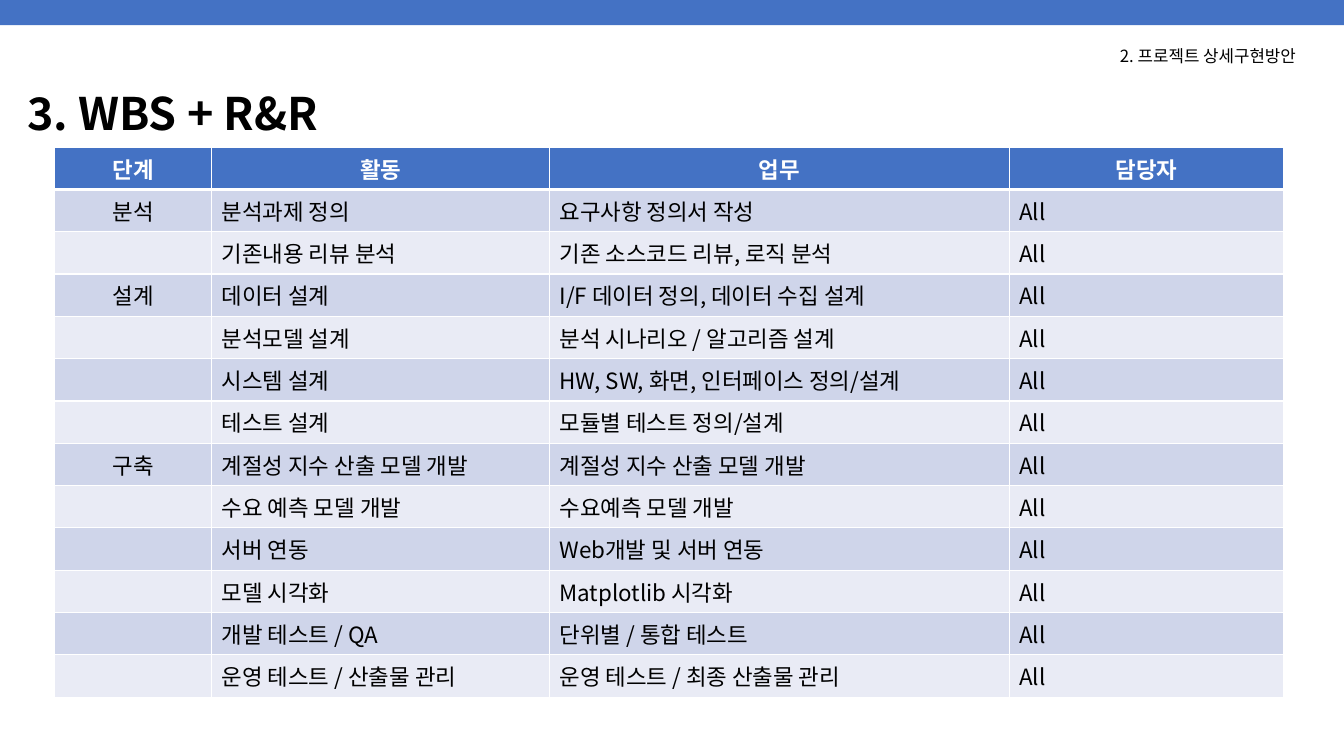
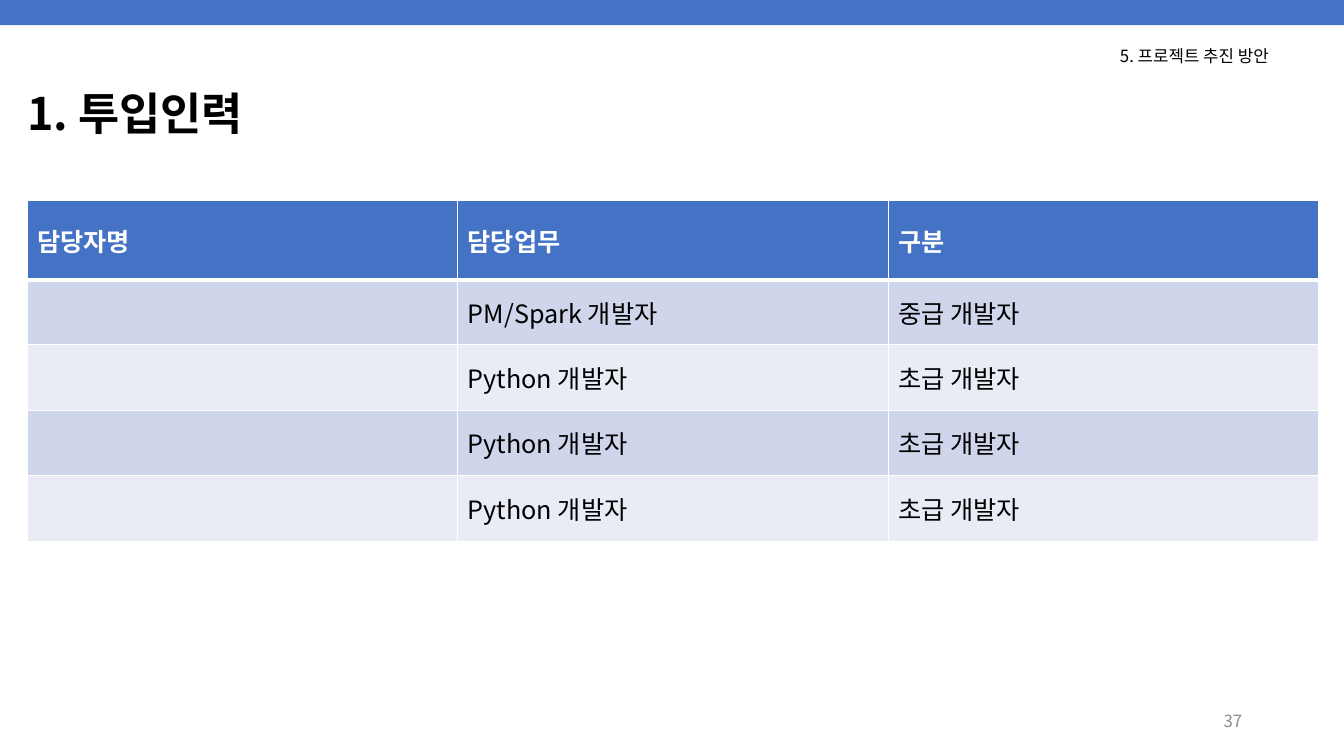
"""Build the two project plan slides: work breakdown and staffing."""
from dataclasses import dataclass

import lxml.etree
import pptx
import pptx.dml.color
import pptx.enum.shapes
import pptx.enum.text
import pptx.oxml.ns
import pptx.util

Inches = pptx.util.Inches
Align = pptx.enum.text.PP_ALIGN
Anchor = pptx.enum.text.MSO_ANCHOR
AutoSize = pptx.enum.text.MSO_AUTO_SIZE

FONT = "Noto Sans CJK KR"
COLORS = {
    "accent": "4472C4",
    "odd_row": "CFD5EA",
    "even_row": "E9EBF5",
    "white": "FFFFFF",
    "text": "000000",
    "page_number": "8C8C8C",
}


@dataclass(frozen=True)
class TextStyle:
    size: int
    color: str = "text"
    bold: bool = False
    align: Align = Align.LEFT


@dataclass(frozen=True)
class Box:
    left: float
    top: float
    width: float
    height: float


@dataclass(frozen=True)
class TableSpec:
    left: float
    top: float
    columns: tuple[float, ...]
    row_heights: tuple[float, ...]
    rows: tuple[tuple[str, ...], ...]
    size: int
    anchor: Anchor
    header_align: Align = Align.LEFT
    first_column_align: Align = Align.LEFT


@dataclass(frozen=True)
class SlideSpec:
    title: str
    chapter: str
    chapter_width: float
    table: TableSpec
    page_number: str = ""


TITLE_BOX = Box(0.17, 0.71, 12.93, 0.89)
PAGE_NUMBER_BOX = Box(9.42, 6.95, 3, 0.4)
TITLE_STYLE = TextStyle(32, bold=True)
CHAPTER_STYLE = TextStyle(12)
PAGE_NUMBER_STYLE = TextStyle(12, "page_number", align=Align.RIGHT)

WBS_ROWS = (
    ("단계", "활동", "업무", "담당자"),
    ("분석", "분석과제 정의", "요구사항 정의서 작성", "All"),
    ("", "기존내용 리뷰 분석", "기존 소스코드 리뷰, 로직 분석", "All"),
    ("설계", "데이터 설계", "I/F 데이터 정의, 데이터 수집 설계", "All"),
    ("", "분석모델 설계", "분석 시나리오 / 알고리즘 설계", "All"),
    ("", "시스템 설계", "HW, SW, 화면, 인터페이스 정의/설계", "All"),
    ("", "테스트 설계", "모듈별 테스트 정의/설계", "All"),
    ("구축", "계절성 지수 산출 모델 개발", "계절성 지수 산출 모델 개발", "All"),
    ("", "수요 예측 모델 개발", "수요예측 모델 개발", "All"),
    ("", "서버 연동", "Web개발 및 서버 연동", "All"),
    ("", "모델 시각화", "Matplotlib 시각화", "All"),
    ("", "개발 테스트 / QA", "단위별 / 통합 테스트", "All"),
    ("", "운영 테스트 / 산출물 관리", "운영 테스트 / 최종 산출물 관리", "All"),
)
STAFF_ROWS = (
    ("담당자명", "담당업무", "구분"),
    ("", "PM/Spark 개발자", "중급 개발자"),
    *(("", "Python 개발자", "초급 개발자"),) * 3,
)

SLIDES = (
    SlideSpec(
        "3. WBS + R&R", "2. 프로젝트 상세구현방안", 2.13,
        TableSpec(
            0.54, 1.46, (1.56, 3.35, 4.56, 2.72), (0.42,) * len(WBS_ROWS),
            WBS_ROWS, 16, Anchor.TOP, Align.CENTER, Align.CENTER,
        ),
    ),
    SlideSpec(
        "1. 투입인력", "5. 프로젝트 추진 방안", 1.92,
        TableSpec(
            0.27, 1.99, (4.27,) * 3, (0.79, 0.64, 0.65, 0.65, 0.65),
            STAFF_ROWS, 18, Anchor.MIDDLE,
        ),
        page_number="37",
    ),
)


def rgb(name: str) -> pptx.dml.color.RGBColor:
    """Return the named palette colour."""
    return pptx.dml.color.RGBColor.from_string(COLORS[name])


def write_paragraph(paragraph, text: str, style: TextStyle) -> None:
    """Fill a paragraph and set its font for Latin and Korean text."""
    paragraph.alignment = style.align
    font = paragraph.font
    font.size = pptx.util.Pt(style.size)
    font.bold = style.bold
    font.color.rgb = rgb(style.color)
    font.name = FONT
    properties = paragraph._p.pPr.find(pptx.oxml.ns.qn("a:defRPr"))
    lxml.etree.SubElement(properties, pptx.oxml.ns.qn("a:ea"), typeface=FONT)
    if text:
        paragraph.text = text
    else:
        lxml.etree.SubElement(
            paragraph._p, pptx.oxml.ns.qn("a:endParaRPr"), sz=str(style.size * 100)
        )


def add_text(slide, box: Box, text: str, style: TextStyle,
             anchor: Anchor = Anchor.MIDDLE, wrap: bool = True):
    """Add a one-paragraph text box and return its paragraph."""
    shape = slide.shapes.add_textbox(
        Inches(box.left), Inches(box.top), Inches(box.width), Inches(box.height)
    )
    frame = shape.text_frame
    frame.word_wrap = wrap
    frame.auto_size = AutoSize.NONE if wrap else AutoSize.SHAPE_TO_FIT_TEXT
    frame.vertical_anchor = anchor
    write_paragraph(frame.paragraphs[0], text, style)
    return frame.paragraphs[0]


def add_borders(cell, top: int, bottom: int) -> None:
    """Draw white cell borders with the given top and bottom widths in points."""
    properties = cell._tc.get_or_add_tcPr()
    for side, width in (("L", 1), ("R", 1), ("T", top), ("B", bottom)):
        line = lxml.etree.SubElement(
            properties, pptx.oxml.ns.qn(f"a:ln{side}"), w=str(pptx.util.Pt(width))
        )
        fill = lxml.etree.SubElement(line, pptx.oxml.ns.qn("a:solidFill"))
        lxml.etree.SubElement(fill, pptx.oxml.ns.qn("a:srgbClr"), val=COLORS["white"])


def add_table(slide, spec: TableSpec) -> None:
    """Add a table with a header row and alternating row fills."""
    table = slide.shapes.add_table(
        len(spec.rows), len(spec.columns), Inches(spec.left), Inches(spec.top),
        Inches(sum(spec.columns)), Inches(sum(spec.row_heights)),
    ).table
    for column, width in zip(table.columns, spec.columns):
        column.width = Inches(width)
    for row, height in zip(table.rows, spec.row_heights):
        row.height = Inches(height)
    header_style = TextStyle(spec.size, "white", True, spec.header_align)
    first_style = TextStyle(spec.size, align=spec.first_column_align)
    body_style = TextStyle(spec.size)
    for row_index, texts in enumerate(spec.rows):
        is_header = row_index == 0
        fill = "accent" if is_header else "odd_row" if row_index % 2 else "even_row"
        for column_index, text in enumerate(texts):
            cell = table.cell(row_index, column_index)
            style = header_style if is_header else body_style if column_index else first_style
            write_paragraph(cell.text_frame.paragraphs[0], text, style)
            cell.vertical_anchor = spec.anchor
            add_borders(cell, 3 if row_index == 1 else 1, 3 if is_header else 1)
            cell.fill.solid()
            cell.fill.fore_color.rgb = rgb(fill)


def add_slide(presentation, spec: SlideSpec) -> None:
    """Add a slide with the shared band, title and chapter label, and its table."""
    slide = presentation.slides.add_slide(presentation.slide_layouts[6])
    band = slide.shapes.add_shape(
        pptx.enum.shapes.MSO_SHAPE.RECTANGLE, 0, 0, presentation.slide_width, Inches(0.25)
    )
    band.shadow.inherit = False
    band.fill.solid()
    band.fill.fore_color.rgb = rgb("accent")
    band.line.fill.background()
    add_text(slide, TITLE_BOX, spec.title, TITLE_STYLE).line_spacing = 0.9
    chapter_box = Box(11.01, 0.4, spec.chapter_width, 0.3)
    add_text(slide, chapter_box, spec.chapter, CHAPTER_STYLE, Anchor.TOP, wrap=False)
    add_table(slide, spec.table)
    if spec.page_number:
        add_text(slide, PAGE_NUMBER_BOX, spec.page_number, PAGE_NUMBER_STYLE)


def main() -> None:
    """Build and save the presentation."""
    presentation = pptx.Presentation()
    presentation.slide_width = Inches(13.33)
    presentation.slide_height = Inches(7.5)
    for spec in SLIDES:
        add_slide(presentation, spec)
    presentation.save("out.pptx")


if __name__ == "__main__":
    main()
